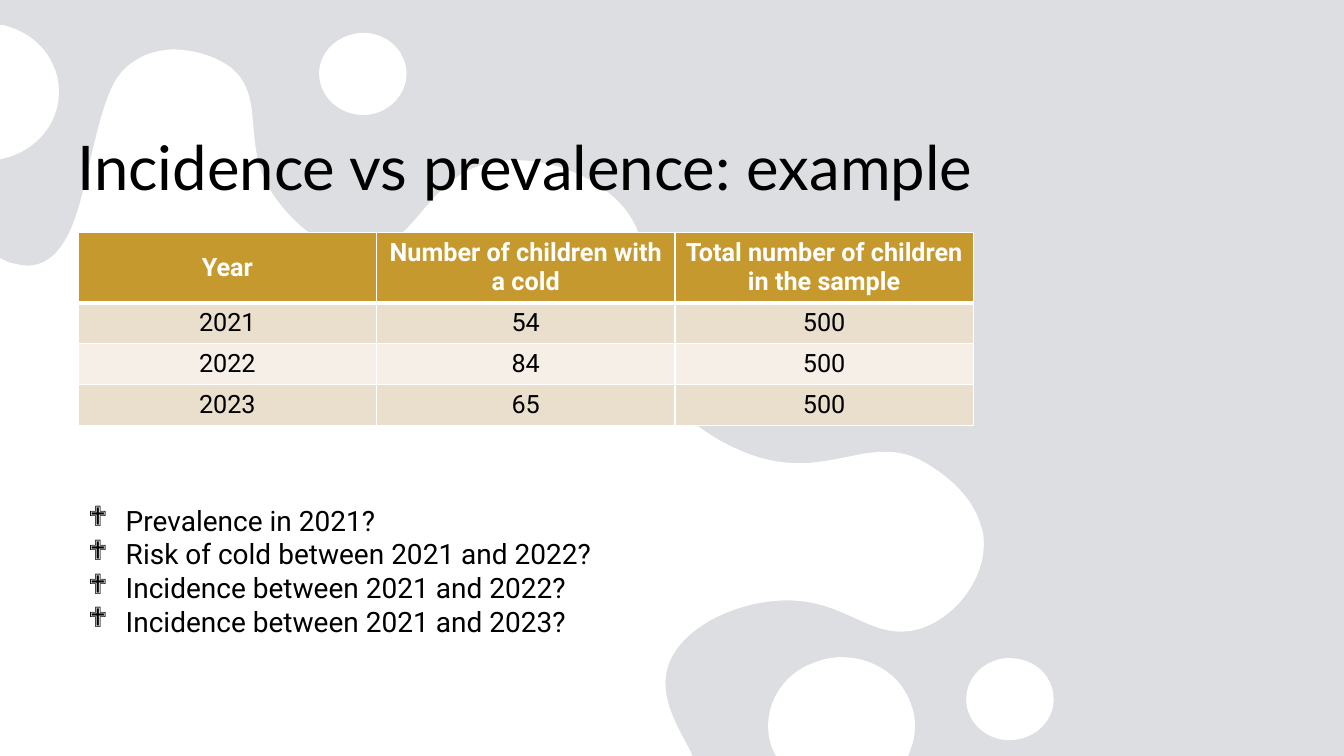
from lxml import etree
from pptx import Presentation
from pptx.dml.color import RGBColor
from pptx.enum.shapes import MSO_SHAPE
from pptx.enum.text import MSO_ANCHOR, MSO_AUTO_SIZE, PP_ALIGN
from pptx.oxml.ns import qn
from pptx.util import Cm, Pt

RECT = MSO_SHAPE.RECTANGLE
MIDDLE, BOTTOM = MSO_ANCHOR.MIDDLE, MSO_ANCHOR.BOTTOM
CENTER = PP_ALIGN.CENTER
GROW = MSO_AUTO_SIZE.SHAPE_TO_FIT_TEXT
COLORS = {
    "backdrop": "E2E4E8", "veil": "AEAEAE", "white": "FFFFFF", "black": "000000",
    "header": "C6992F", "odd": "EADECD", "even": "F5EFE8",
}
TITLE_FONT, BODY_FONT, BULLET_FONT = "Lato", "Roboto", "Wingdings"
GRID_CM = 2.54

RIGHT_DROP = [
    (9.97, 6.53),
    (10.12, 6.52, 10.27, 6.57, 10.36, 6.68), (10.41, 6.74, 10.44, 6.81, 10.45, 6.89),
    (10.48, 7.11, 10.31, 7.31, 10.07, 7.34), (9.84, 7.37, 9.62, 7.21, 9.59, 6.99),
    (9.56, 6.76, 9.73, 6.56, 9.97, 6.53),
]
BOTTOM_DROP = [
    (8.35, 6.52),
    (8.58, 6.52, 8.8, 6.62, 8.94, 6.8), (8.98, 6.86, 9.02, 6.92, 9.04, 6.99),
    (9.09, 7.12, 9.09, 7.26, 9.05, 7.39), (9.01, 7.5), (7.7, 7.5), (7.66, 7.42),
    (7.53, 7.06, 7.74, 6.67, 8.12, 6.56), (8.2, 6.53, 8.27, 6.52, 8.35, 6.52),
]
SPLASH = [
    (1.7, 0.49),
    (1.91, 0.49, 2.13, 0.55, 2.29, 0.67), (2.67, 0.98, 2.35, 1.47, 2.76, 2),
    (2.81, 2.07, 3.16, 2.52, 3.59, 2.49), (4.15, 2.45, 4.2, 1.78, 4.84, 1.62),
    (5.29, 1.51, 5.88, 1.7, 6.18, 2.05), (6.65, 2.6, 6.1, 3.2, 6.6, 3.89),
    (6.94, 4.38, 7.53, 4.54, 7.58, 4.55), (8.27, 4.73, 8.66, 4.29, 9.18, 4.59),
    (9.28, 4.65, 9.63, 4.86, 9.73, 5.21), (9.75, 5.26, 9.76, 5.31, 9.76, 5.36),
    (9.78, 5.74, 9.48, 6.13, 9.12, 6.24), (8.63, 6.38, 8.39, 5.91, 7.71, 5.96),
    (7.36, 5.98, 6.84, 6.17, 6.66, 6.53), (6.51, 6.84, 6.68, 7.14, 6.85, 7.45),
    (6.87, 7.5), (0, 7.5), (0, 2.56), (0.08, 2.6),
    (0.19, 2.63, 0.29, 2.65, 0.38, 2.62), (0.67, 2.53, 0.78, 2.09, 0.85, 1.78),
    (1.04, 0.97, 1.1, 0.74, 1.36, 0.59), (1.45, 0.53, 1.57, 0.5, 1.7, 0.49),
]
TOP_DROP = [
    (3.55, 0.33),
    (3.7, 0.31, 3.85, 0.37, 3.94, 0.48), (3.99, 0.54, 4.02, 0.61, 4.03, 0.68),
    (4.06, 0.9, 3.89, 1.11, 3.65, 1.14), (3.41, 1.16, 3.2, 1, 3.17, 0.78),
    (3.14, 0.56, 3.31, 0.36, 3.55, 0.33),
]
LEFT_DROP = [
    (0, 0.25), (0.04, 0.25), (0.07, 0.26),
    (0.22, 0.3, 0.35, 0.39, 0.44, 0.5), (0.49, 0.56, 0.52, 0.63, 0.55, 0.7),
    (0.67, 1.06, 0.47, 1.44, 0.08, 1.56), (0, 1.58),
]
OUTLINES = [RIGHT_DROP, BOTTOM_DROP, SPLASH, TOP_DROP, LEFT_DROP]
ROWS = [
    ("Year", "Number of children with a cold", "Total number of children in the sample"),
    ("2021", "54", "500"),
    ("2022", "84", "500"),
    ("2023", "65", "500"),
]
QUESTIONS = [
    "Prevalence in 2021?",
    "Risk of cold between 2021 and 2022?",
    "Incidence between 2021 and 2022?",
    "Incidence between 2021 and 2023?",
]


def rgb(name):
    return RGBColor.from_string(COLORS[name])


def paint(sp, color):
    sp.shadow.inherit = False
    sp.fill.solid()
    sp.fill.fore_color.rgb = rgb(color)
    sp.line.fill.background()


def add_veil(s):
    sp = s.shapes.add_shape(RECT, 0, 0, Cm(33.87), Cm(19.05))
    paint(sp, "veil")
    color = sp.fill._xPr.find(qn("a:solidFill"))[0]
    etree.SubElement(color, qn("a:alpha"), val="10000")


def to_points(part):
    return [(Cm(x * GRID_CM), Cm(y * GRID_CM)) for x, y in zip(part[::2], part[1::2])]


def bend(sp, parts):
    segments = list(sp._element.iter(qn("a:lnTo")))
    for segment, part in zip(segments, parts):
        if len(part) == 2:
            continue
        curve = etree.Element(qn("a:cubicBezTo"))
        for x, y in to_points(part):
            etree.SubElement(curve, qn("a:pt"), x=str(x - sp.left), y=str(y - sp.top))
        segment.getparent().replace(segment, curve)


def add_splashes(s, outlines):
    builder = s.shapes.build_freeform(*to_points(outlines[0][0])[0])
    for i, outline in enumerate(outlines):
        if i:
            builder.move_to(*to_points(outline[0])[0])
        builder.add_line_segments([to_points(part)[-1] for part in outline[1:]], close=True)
    sp = builder.convert_to_shape()
    bend(sp, [part for outline in outlines for part in outline[1:]])
    paint(sp, "white")


def add_text(p, text, font, size, color, bold=False):
    r = p.add_run()
    r.text = text
    r.font.name = font
    r.font.size = Pt(size)
    r.font.bold = bold
    r.font.color.rgb = rgb(color)


def add_box(s, x, y, w, h):
    tf = s.shapes.add_textbox(Cm(x), Cm(y), Cm(w), Cm(h)).text_frame
    tf.word_wrap = True
    return tf


def add_title(s, text):
    tf = add_box(s, 1.7, 1.55, 30.48, 3.68)
    tf.vertical_anchor = BOTTOM
    add_text(tf.paragraphs[0], text, TITLE_FONT, 44, "black")


def add_bullets(s, lines):
    tf = add_box(s, 1.97, 12.56, 26.92, 3.68)
    tf.auto_size = GROW
    for i, line in enumerate(lines):
        p = tf.add_paragraph() if i else tf.paragraphs[0]
        pPr = p._p.get_or_add_pPr()
        pPr.set("marL", str(Cm(0.95)))
        pPr.set("indent", str(-Cm(0.95)))
        etree.SubElement(pPr, qn("a:buFont"), typeface=BULLET_FONT)
        etree.SubElement(pPr, qn("a:buChar"), char="❖")
        add_text(p, line, BODY_FONT, 20, "black")


def set_borders(cell, bottom):
    tcPr = cell._tc.get_or_add_tcPr()
    for side, width in (("L", 1), ("R", 1), ("T", 1), ("B", bottom)):
        ln = etree.SubElement(tcPr, qn(f"a:ln{side}"), w=str(Pt(width)))
        fill = etree.SubElement(ln, qn("a:solidFill"))
        etree.SubElement(fill, qn("a:srgbClr"), val=COLORS["white"])


def add_cold_table(s, rows):
    table = s.shapes.add_table(len(rows), len(rows[0]), Cm(1.97), Cm(5.85),
                               Cm(22.56), Cm(4.88)).table
    for column in table.columns:
        column.width = Cm(7.52)
    for i, row in enumerate(rows):
        table.rows[i].height = Cm(1.03 if i else 0.69)
        band = "header" if i == 0 else "odd" if i % 2 else "even"
        for j, text in enumerate(row):
            cell = table.cell(i, j)
            set_borders(cell, 1 if i else 3)
            cell.fill.solid()
            cell.fill.fore_color.rgb = rgb(band)
            cell.vertical_anchor = MIDDLE
            p = cell.text_frame.paragraphs[0]
            p.alignment = CENTER
            add_text(p, text, BODY_FONT, 18, "black" if i else "white", i == 0)


def main():
    """Build the incidence and prevalence example slide."""
    prs = Presentation()
    prs.slide_width, prs.slide_height = Cm(33.87), Cm(19.05)
    s = prs.slides.add_slide(prs.slide_layouts[6])
    s.background.fill.solid()
    s.background.fill.fore_color.rgb = rgb("backdrop")
    add_veil(s)
    add_splashes(s, OUTLINES)
    add_title(s, "Incidence vs prevalence: example")
    add_cold_table(s, ROWS)
    add_bullets(s, QUESTIONS)
    prs.save("out.pptx")


if __name__ == "__main__":
    main()
